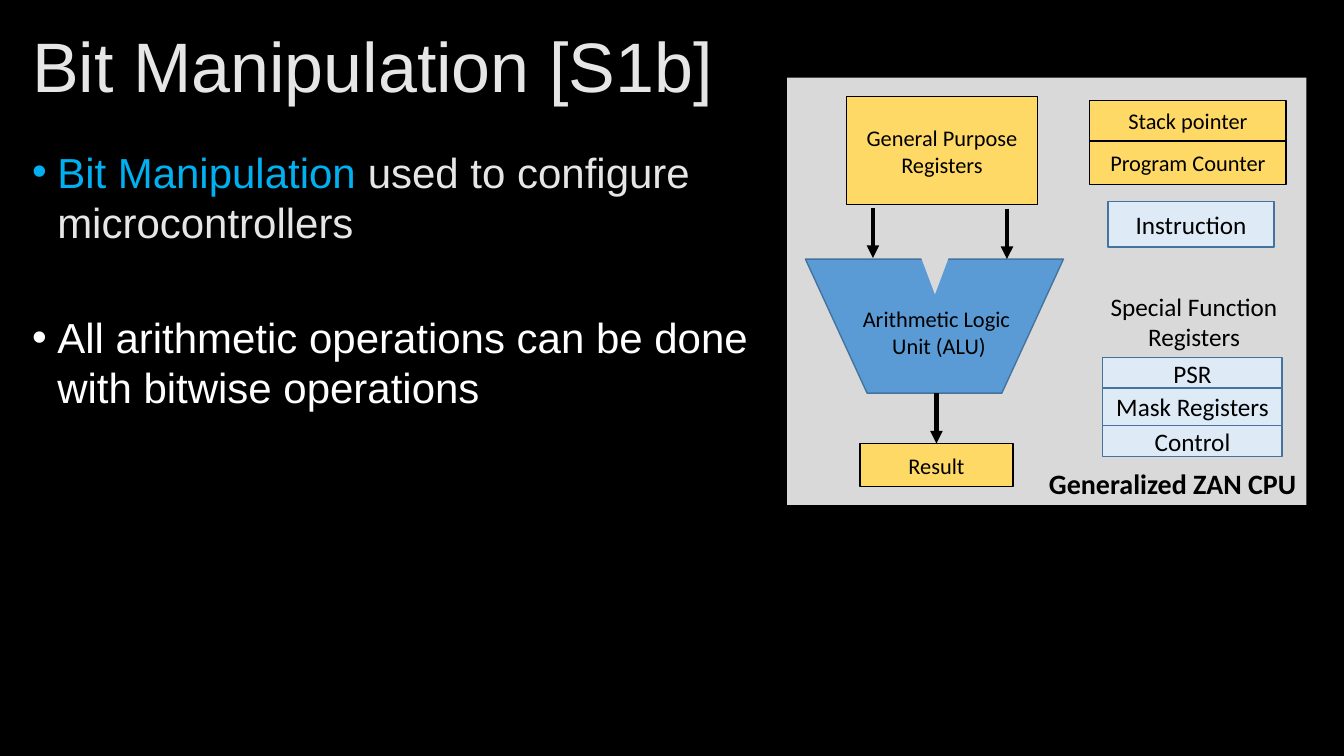
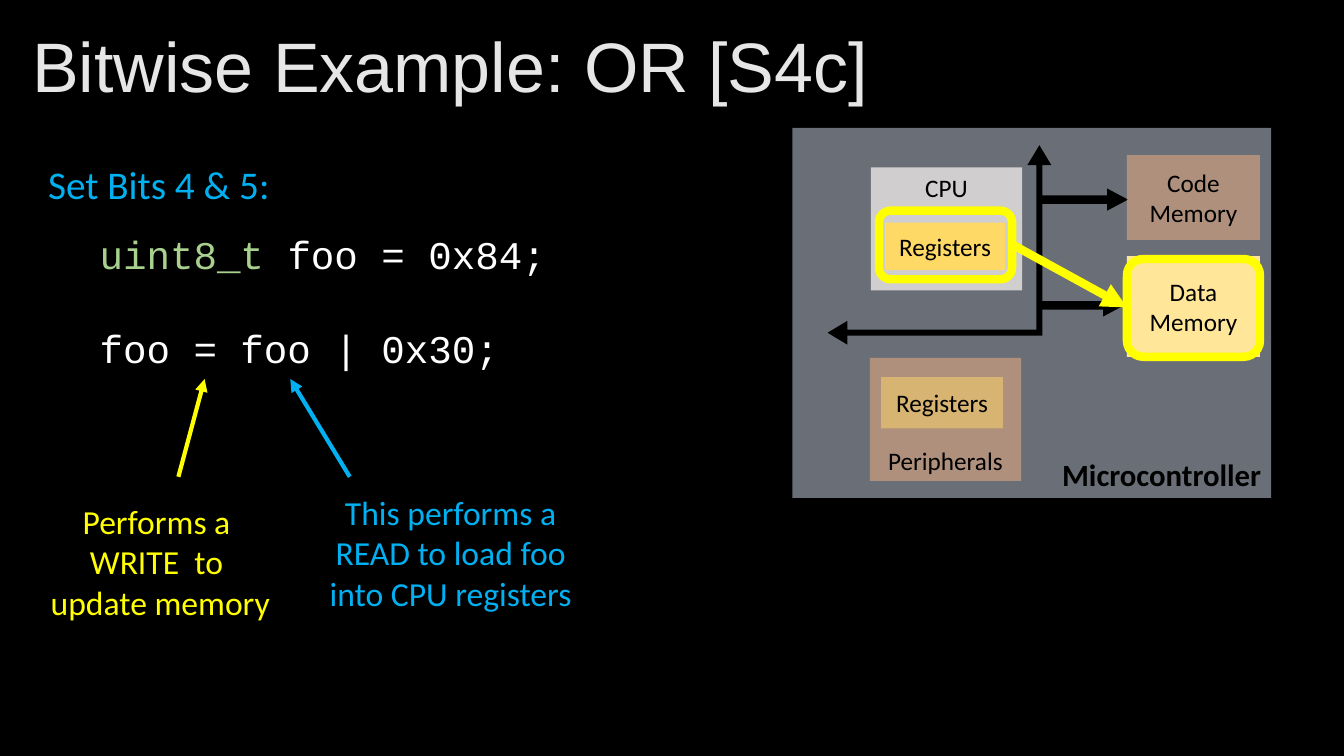
from dataclasses import dataclass

from lxml.etree import SubElement
from pptx import Presentation
from pptx.dml.color import RGBColor
from pptx.enum.shapes import MSO_CONNECTOR as Connector, MSO_SHAPE as Shape
from pptx.enum.text import MSO_ANCHOR as Anchor, PP_ALIGN as Align
from pptx.oxml.ns import qn
from pptx.util import Inches, Pt


@dataclass(frozen=True)
class Theme:
    # Colours
    black: str = "000000"
    white: str = "FFFFFF"
    title: str = "E7E6E6"
    cyan: str = "00B0F0"
    yellow: str = "FFFF00"
    green: str = "A9D18E"
    panel: str = "D9D9D9"
    chip: str = "DAE3F3"
    core: str = "D0CECE"
    gold: str = "FFD966"
    cream: str = "FFE699"
    clay: str = "F4B183"
    pale: str = "DEEBF7"
    blue: str = "5B9BD5"
    edge: str = "43739E"
    # Fonts and type sizes
    head_font: str = "Arial"
    label_font: str = "Calibri"
    code_font: str = "Courier New"
    title_size: int = 50
    body_size: int = 30
    code_size: int = 28
    note_size: int = 24
    chip_size: int = 22
    caption_size: int = 20
    label_size: int = 18
    small_size: int = 16


THEME = Theme()
COLUMNS, ROWS = 133.33, 75  # one grid cell is a tenth of an inch


def cells(count):
    return Inches(count / 10)


def write(frame, lines, *, size, font=THEME.label_font, color=THEME.black,
          bold=False, align=Align.LEFT, anchor=Anchor.TOP, spacing=None,
          gap=None, bullet=False):
    """Fill a frame; a line is a text or a list of (text, colour) spans."""
    frame.word_wrap = True
    frame.vertical_anchor = anchor
    for index, line in enumerate(lines):
        para = frame.add_paragraph() if index else frame.paragraphs[0]
        para.alignment = align
        if spacing:
            para.line_spacing = spacing
        if gap and index:
            para.space_before = Pt(gap)
        if bullet:
            props = para._p.get_or_add_pPr()
            props.set("marL", str(cells(2.5)))
            props.set("indent", str(-cells(2.5)))
            SubElement(props, qn("a:buFont"), typeface=font)
            SubElement(props, qn("a:buChar"), char="•")
        for text, tint in [(line, color)] if isinstance(line, str) else line:
            span = para.add_run()
            span.text = text
            span.font.name, span.font.size = font, Pt(size)
            span.font.bold = bold
            span.font.color.rgb = RGBColor.from_string(tint)


class Deck:
    """Holds the theme and the page being drawn."""

    def __init__(self, theme):
        self.theme = theme
        self.show = Presentation()
        self.show.slide_width = cells(COLUMNS)
        self.show.slide_height = cells(ROWS)
        self.page = None

    def new_page(self, title):
        self.page = self.show.slides.add_slide(self.show.slide_layouts[6])
        fill = self.page.background.fill
        fill.solid()
        fill.fore_color.rgb = RGBColor.from_string(self.theme.black)
        self.text((2.2, 2.1, 128.9, 9.7), [title], size=self.theme.title_size,
                  font=self.theme.head_font, color=self.theme.title,
                  anchor=Anchor.MIDDLE, spacing=0.9)

    def text(self, at, lines, **style):
        box = self.page.shapes.add_textbox(*map(cells, at))
        write(box.text_frame, lines, **style)

    def shape(self, kind, at, fill=None, *, alpha=None, line=None, width=1,
              turn=0, adjust=()):
        item = self.page.shapes.add_shape(kind, *map(cells, at))
        item.shadow.inherit = False
        item.rotation = turn
        for index, value in enumerate(adjust):
            item.adjustments[index] = value
        if fill:
            item.fill.solid()
            item.fill.fore_color.rgb = RGBColor.from_string(fill)
            if alpha:
                tint = item.fill._xPr.find(qn("a:solidFill"))[0]
                SubElement(tint, qn("a:alpha"), val=str(alpha * 1000))
        else:
            item.fill.background()
        if line:
            item.line.color.rgb = RGBColor.from_string(line)
            item.line.width = Pt(width)
        else:
            item.line.fill.background()
        return item

    def block(self, at, label, fill, *, size=None, align=Align.CENTER,
              anchor=Anchor.MIDDLE, bold=False, **look):
        item = self.shape(Shape.RECTANGLE, at, fill, **look)
        write(item.text_frame, [label], size=size or self.theme.label_size,
              align=align, anchor=anchor, bold=bold)

    def panel(self, at, label, fill, size, **look):
        self.block(at, label, fill, size=size, align=Align.RIGHT,
                   anchor=Anchor.BOTTOM, bold=True, **look)

    def arrow(self, start, end, color, width=3):
        item = self.page.shapes.add_connector(
            Connector.STRAIGHT, *map(cells, start + end))
        item.line.color.rgb = RGBColor.from_string(color)
        item.line.width = Pt(width)
        SubElement(item.line._get_or_add_ln(), qn("a:tailEnd"), type="triangle")
        SubElement(item._element.spPr, qn("a:effectLst"))


def bit_manipulation(deck):
    theme = deck.theme
    deck.new_page("Bit Manipulation [S1b]")
    deck.text((2.2, 14, 73.8, 34.1), [
        [("Bit Manipulation ", theme.cyan),
         ("used to configure microcontrollers", theme.title)],
        [("All arithmetic operations can be done with bitwise operations",
          theme.white)],
    ], size=theme.body_size, font=theme.head_font, gap=46, bullet=True)

    # Processor panel and its gold registers
    deck.panel((78.1, 7.7, 51.5, 42.4), "Generalized ZAN CPU", theme.panel,
               theme.caption_size)
    for label, at in (
            ("Result", (85.3, 44, 15.2, 4.3)),
            ("General Purpose Registers", (84, 9.6, 18.9, 10.7)),
            ("Stack pointer", (108.1, 10, 19.5, 4)),
            ("Program Counter", (108.1, 14, 19.5, 4.3))):
        deck.block(at, label, theme.gold, size=theme.small_size,
                   line=theme.black)

    # Arithmetic unit: a trapezoid with a notch
    deck.shape(Shape.TRAPEZOID, (79.9, 25.7, 25.6, 13.3), theme.blue,
               line=theme.edge, turn=180, adjust=[0.46])
    deck.shape(Shape.ISOSCELES_TRIANGLE, (91.4, 25.6, 2.7, 3.6), theme.panel,
               turn=180)
    deck.text((81.5, 29.8, 23.3, 6.4), ["Arithmetic Logic ", "Unit (ALU)"],
              size=theme.small_size, align=Align.CENTER)
    for column, row in ((86.6, 20.6), (99.9, 20.7), (92.9, 39)):
        deck.arrow((column, row), (column, row + 5), theme.black)

    # Instruction and special function registers
    deck.block((109.9, 20, 16.5, 4.5), "Instruction", theme.pale,
               line=theme.edge)
    deck.text((109, 28.4, 18.9, 7.1), ["Special Function", "Registers"],
              size=theme.label_size, align=Align.CENTER)
    top = 35.5
    for label, height in (("PSR", 3), ("Mask Registers", 3.7),
                          ("Control", 3.1)):
        deck.block((109.4, top, 17.8, height), label, theme.pale,
                   line=theme.edge)
        top += height


def bitwise_or(deck):
    theme = deck.theme
    deck.new_page("Bitwise Example: OR [S4c]")

    # Code and its notes
    deck.text((3.8, 15.4, 26, 5.7), ["Set Bits 4 & 5:"],
              size=theme.code_size, color=theme.cyan)
    deck.text((8.9, 22.4, 48, 15.1), [
        [("uint8_t ", theme.green), ("foo = 0x84;", theme.white)],
        [("foo = foo | 0x30;", theme.white)],
    ], size=theme.code_size, font=theme.code_font, gap=33)
    for at, lines, color, start, end in (
            ((30.7, 48.3, 28, 13.1),
             ["This performs a READ to load foo into CPU registers"],
             theme.cyan, (34.7, 47.3), (28.8, 37.6)),
            ((0, 49.2, 31.8, 13.1),
             ["Performs a ", "WRITE  to ", "update memory"],
             theme.yellow, (17.7, 47.3), (20.3, 37.6))):
        deck.text(at, lines, size=theme.note_size, color=color,
                  align=Align.CENTER)
        deck.arrow(start, end, color)

    # Microcontroller panel, processor and bus
    deck.panel((78.6, 12.7, 47.5, 36.7), "Microcontroller", theme.chip,
               theme.chip_size, alpha=49)
    deck.block((86.4, 16.6, 15, 12.2), "CPU", theme.core, anchor=Anchor.TOP)
    deck.shape(Shape.LEFT_UP_ARROW, (82.1, 14.4, 22.2, 19.8), theme.black,
               adjust=[0.03, 0.06, 0.1])
    for column, row in ((106.5, 15.5), (106.1, 26)):
        deck.shape(Shape.UP_ARROW, (column, row, 2.2, 8.6), theme.black,
                   turn=90, adjust=[0.38, 0.94])

    # Memories and peripherals
    deck.block((111.8, 15.4, 13.2, 8.4), "Code Memory", theme.clay, alpha=50)
    deck.block((111.8, 25.4, 13.2, 10), "Data Memory", theme.cream)
    deck.block((86.3, 35.5, 15, 12.2), "Peripherals", theme.clay, alpha=50,
               anchor=Anchor.BOTTOM)
    deck.block((87.8, 22.1, 11.9, 4.7), "Registers", theme.gold)
    deck.block((87.4, 37.4, 12.1, 5.1), "Registers", theme.gold, alpha=50)

    # Highlighted path from registers to data memory
    for at in ((111.8, 25.7, 13.2, 9.7), (87.2, 20.9, 13.2, 6.8)):
        deck.shape(Shape.ROUNDED_RECTANGLE, at, line=theme.yellow, width=6)
    deck.arrow((100.5, 24.3), (111.8, 30.5), theme.yellow, width=6)


def main():
    deck = Deck(THEME)
    bit_manipulation(deck)
    bitwise_or(deck)
    deck.show.save("out.pptx")


if __name__ == "__main__":
    main()
